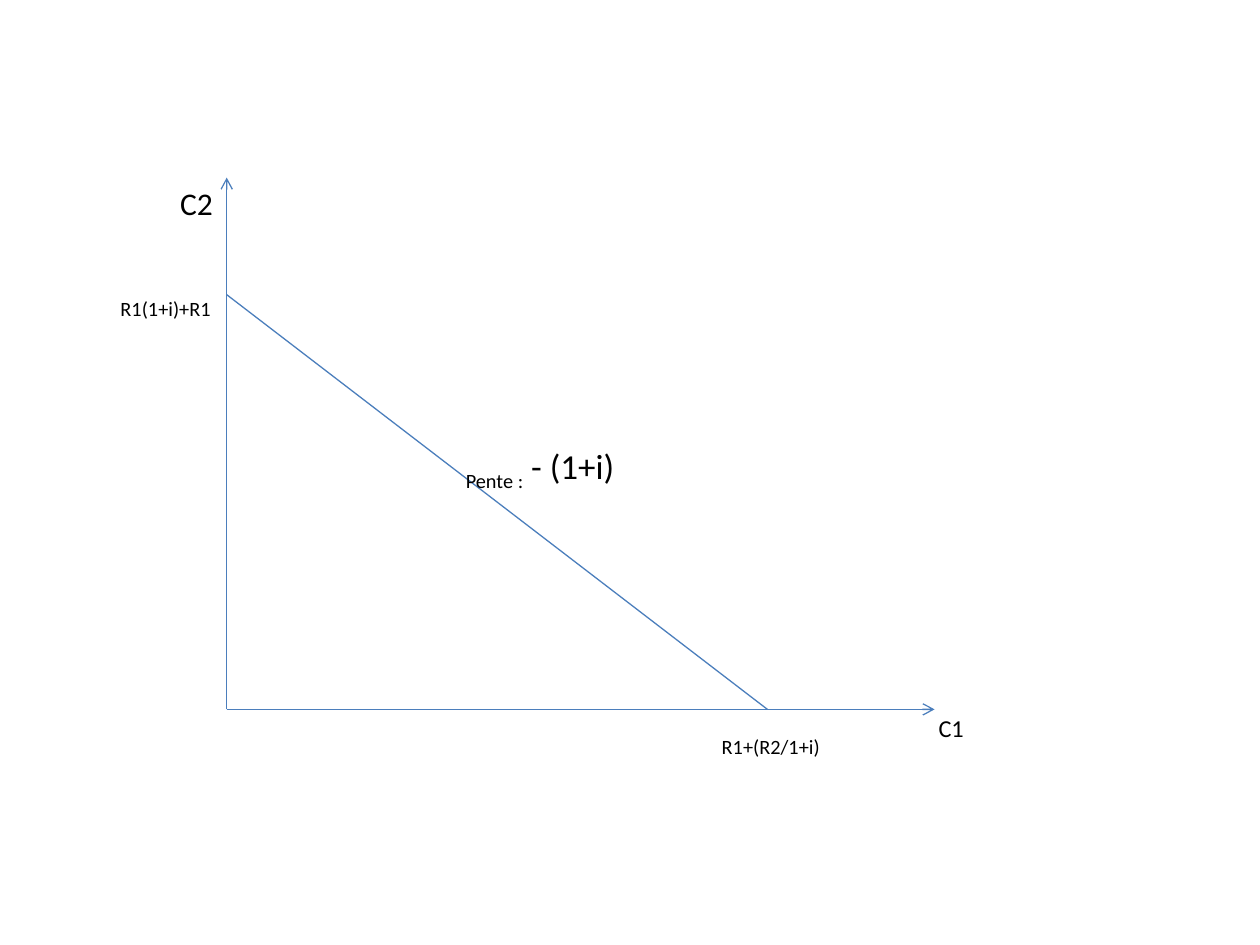
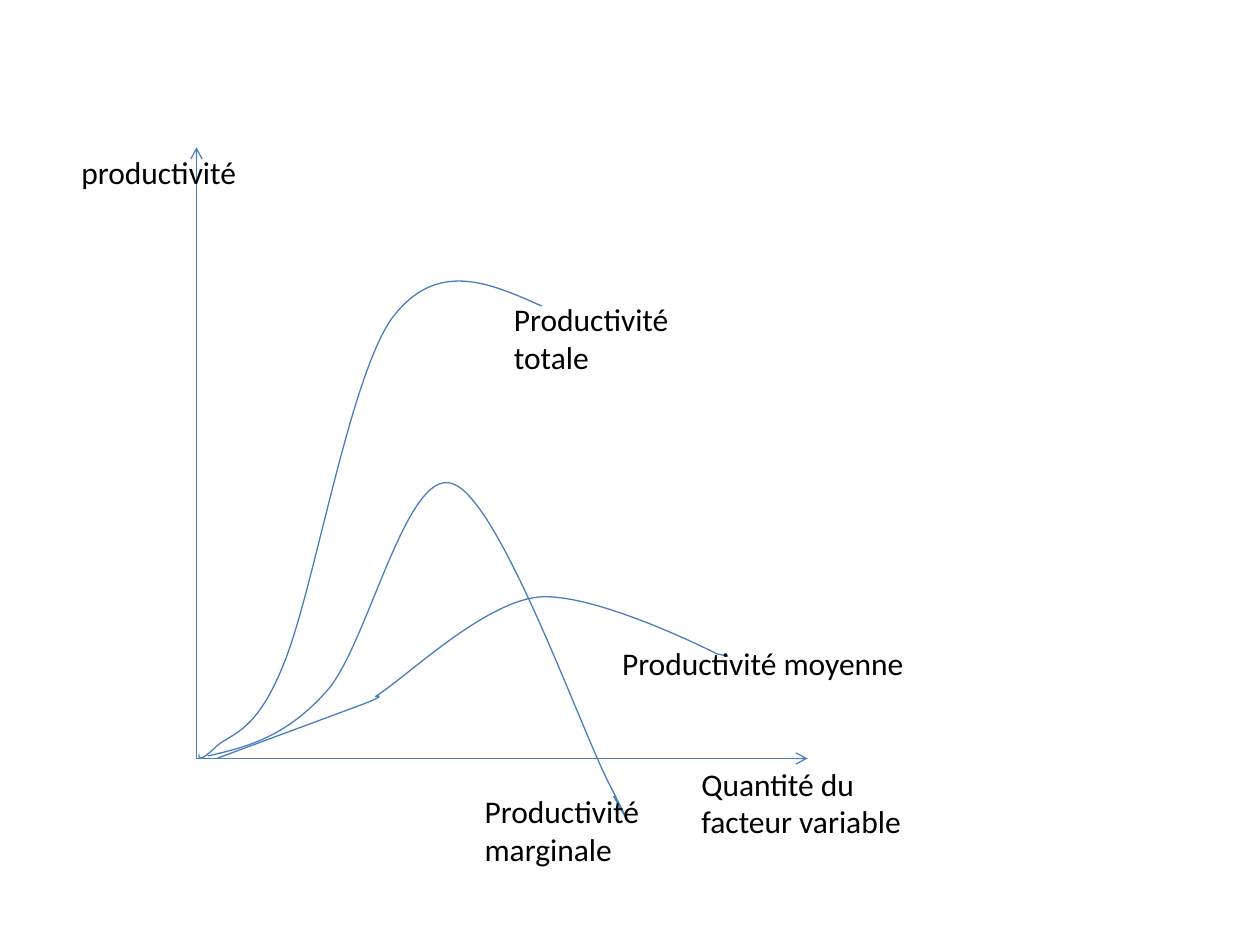
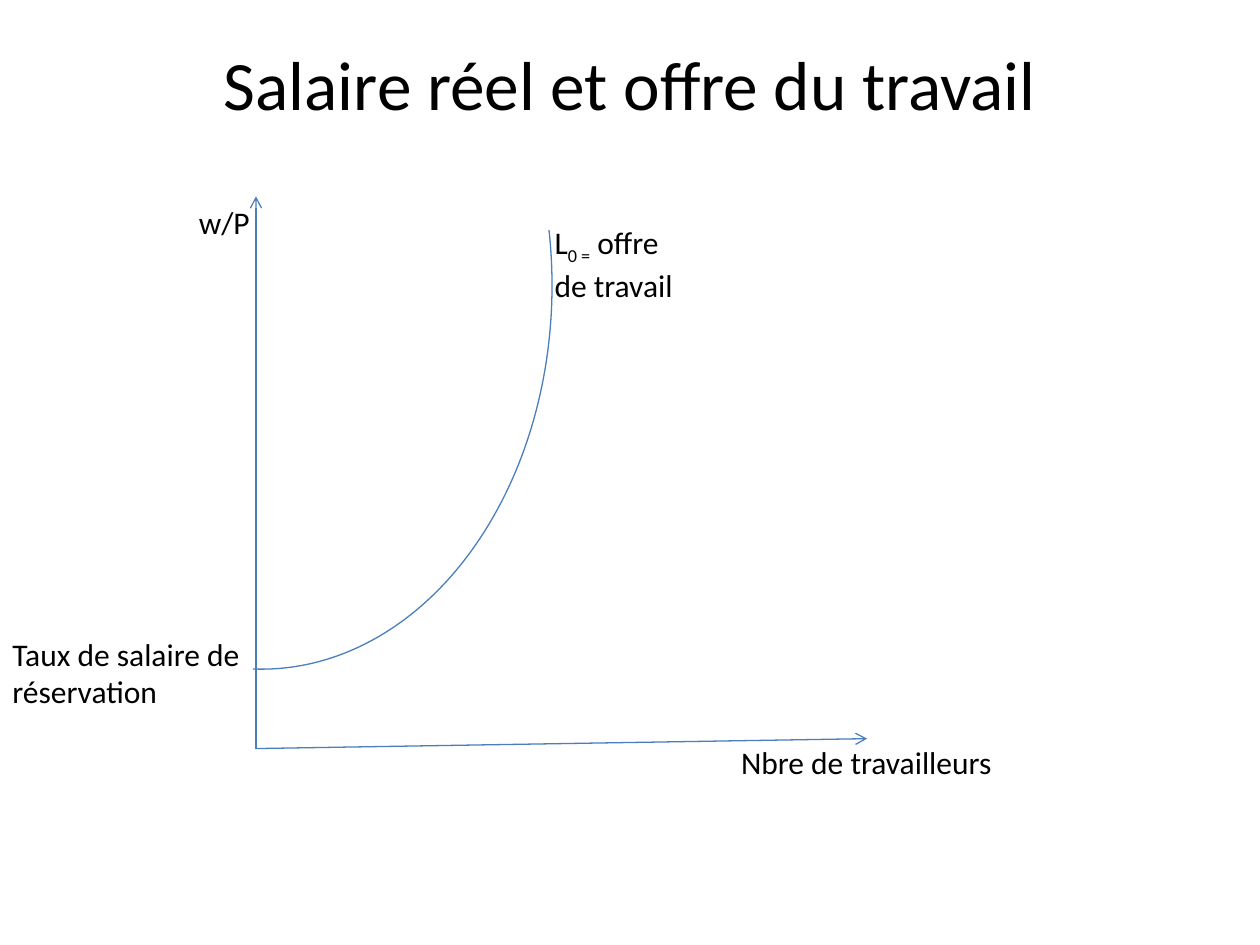
from collections import namedtuple

from lxml.etree import SubElement
from pptx import Presentation
from pptx.dml.color import RGBColor
from pptx.enum.shapes import MSO_CONNECTOR as Connector, MSO_SHAPE as Shape
from pptx.enum.text import MSO_ANCHOR as Anchor, MSO_AUTO_SIZE as AutoSize, PP_ALIGN as Align
from pptx.oxml.ns import qn
from pptx.util import Cm, Pt

COLORS = {"line": "4B7EBC", "text": "000000", "background": "FFFFFF"}
FONT = "Calibri"
LINE_WIDTH = Pt(0.75)
ONE_LINE, TWO_LINES = 1.02, 1.8
LABEL_WIDTH = 4.57
LOWERED = -25
TITLE_ONLY, BLANK = 5, 6

# All lengths are centimetres; parts of a plot are offsets from its box.
Box = namedtuple("Box", "left top width height")

TOTAL_CURVE = [
    (0.05, 12.24),
    (0.05, 12.32), (0.05, 12.4), (0.36, 12.12),
    (0.64, 11.81), (1.17, 11.89), (1.75, 10.44),
    (2.36, 8.99), (3.07, 4.67), (3.94, 3.45),
    (4.83, 2.26), (5.89, 2.72), (6.96, 3.2),
]
MARGINAL_CURVE = [
    (0.23, 12.27),
    (1.02, 12.09), (1.8, 11.89), (2.62, 10.97),
    (3.45, 10.06), (4.22, 6.45), (5.16, 6.78),
    (6.12, 7.09), (7.77, 11.79), (8.33, 12.85),
    (8.86, 13.89), (8.64, 13.49), (8.41, 13.08),
]
AVERAGE_CURVE = [
    (0.41, 12.32),
    (0.41, 12.32), (3.35, 11.23), (3.35, 11.23),
    (3.89, 11.02), (3.61, 11.07), (3.61, 11.07),
    (4.19, 10.72), (5.72, 9.22), (6.86, 9.07),
    (8, 8.94), (10.49, 10.21), (10.49, 10.21),
    (10.49, 10.21), (10.72, 10.26), (10.72, 10.26),
]


def rgb(name):
    return RGBColor.from_string(COLORS[name])


def place(box, x, y):
    return Cm(box.left + x), Cm(box.top + y)


def write(frame, *pieces, size=18, align=Align.LEFT, anchor=Anchor.TOP,
          wrap=True, auto_size=AutoSize.SHAPE_TO_FIT_TEXT):
    """Fill a frame with one paragraph; each piece is (text, baseline percent)."""
    frame.word_wrap = wrap
    frame.auto_size = auto_size
    frame.vertical_anchor = anchor
    para = frame.paragraphs[0]
    para.alignment = align
    for text, baseline in pieces:
        span = para.add_run()
        span.text = text
        span.font.name = FONT
        span.font.size = Pt(size)
        span.font.color.rgb = rgb("text")
        if baseline:
            span.font._element.set("baseline", str(baseline * 1000))


def add_label(page, box, area, *pieces, **text_format):
    left, top, width, height = area
    label = page.shapes.add_textbox(*place(box, left, top), Cm(width), Cm(height))
    write(label.text_frame, *pieces, **text_format)


def style_outline(shape):
    shape.line.color.rgb = rgb("line")
    shape.line.width = LINE_WIDTH


def add_line(page, box, start, end, arrow=False):
    line = page.shapes.add_connector(
        Connector.STRAIGHT, *place(box, *start), *place(box, *end))
    style_outline(line)
    if arrow:
        SubElement(line.get_or_add_ln(), qn("a:tailEnd"), type="arrow")
    SubElement(line._element.spPr, qn("a:effectLst"))


def add_axes(page, box, rise=0):
    """Draw both axes from the lower left corner; rise lifts the far end of x."""
    origin = (0, box.height)
    add_line(page, box, origin, (0, 0), arrow=True)
    add_line(page, box, origin, (box.width, box.height - rise), arrow=True)


def add_curve(page, box, points):
    """Draw cubic curves: a start point, then two handles and an end for each."""
    start, *others = [place(box, *point) for point in points]
    builder = page.shapes.build_freeform(*start)
    builder.add_line_segments(others, close=False)
    curve = builder.convert_to_shape()
    segments = list(curve._element.iter(qn("a:lnTo")))
    outline = segments[0].getparent()
    for index, segment in enumerate(segments):
        if index % 3 == 0:
            bezier = SubElement(outline, qn("a:cubicBezTo"))
        bezier.append(segment[0])
        outline.remove(segment)
    curve.fill.background()
    curve.shadow.inherit = False
    style_outline(curve)


def add_arc(page, box, area, start_angle, end_angle):
    left, top, width, height = area
    arc = page.shapes.add_shape(Shape.ARC, *place(box, left, top), Cm(width), Cm(height))
    # An adjustment unit is 100000, a degree is 60000.
    arc.adjustments[0] = start_angle * 0.6
    arc.adjustments[1] = end_angle * 0.6
    arc.fill.background()
    arc.shadow.inherit = False
    style_outline(arc)


def add_page(deck, layout):
    page = deck.slides.add_slide(deck.slide_layouts[layout])
    page.background.fill.solid()
    page.background.fill.fore_color.rgb = rgb("background")
    return page


def add_title(page, box, text):
    title = page.shapes.title
    title.left, title.top = place(box, 0, 0)
    title.width, title.height = Cm(box.width), Cm(box.height)
    write(title.text_frame, (text, 0), size=39.6, align=Align.CENTER,
          anchor=Anchor.MIDDLE, auto_size=AutoSize.NONE)


def draw_budget_line(page, box):
    add_axes(page, box)
    add_line(page, box, (0, 2.36), (10.9, box.height))
    add_label(page, box, (-1.19, 0, 1.17, ONE_LINE), ("C2", 0), wrap=False)
    for text, area, size in [
        ("R1(1+i)+R1", (-2.39, 1.8, 3.76, 0.84), 20),
        ("R1+(R2/1+i)", (9.73, 10.62, 4.14, 1.4), 20),
        ("C1", (14.1, 10.11, 2.36, 0.94), 24),
    ]:
        add_label(page, box, area, (text, LOWERED), size=size)
    add_label(page, box, (4.57, 5.26, 6.32, 1.12),
              ("Pente :", LOWERED), (" - (1+i)", 0), size=20)


def draw_productivity(page, box):
    add_axes(page, box)
    for points in (TOTAL_CURVE, MARGINAL_CURVE, AVERAGE_CURVE):
        add_curve(page, box, points)
    for text, area in [
        ("productivité", (-2.57, 0, LABEL_WIDTH, ONE_LINE)),
        ("Productivité totale", (6.15, 2.95, LABEL_WIDTH, TWO_LINES)),
        ("Productivité moyenne", (8.33, 9.88, 7.75, ONE_LINE)),
        ("Quantité du facteur variable", (9.93, box.height, LABEL_WIDTH, TWO_LINES)),
        ("Productivité marginale", (5.56, 12.88, LABEL_WIDTH, TWO_LINES)),
    ]:
        add_label(page, box, area, (text, 0))


def draw_labour_supply(page, box):
    add_axes(page, box, rise=0.2)
    add_arc(page, box, (-5.74, -5.94, 11.71, 15.47), start_angle=349.1, end_angle=91.29)
    for text, area in [
        ("w/P", (-1.4, 0, 1.6, ONE_LINE)),
        ("Taux de salaire de réservation", (-box.left, 8.71, box.left, TWO_LINES)),
        ("Nbre de travailleurs", (9.53, 10.9, 6.76, ONE_LINE)),
    ]:
        add_label(page, box, area, (text, 0))
    add_label(page, box, (5.77, 0.41, 3.38, TWO_LINES),
              ("L", 0), ("0 =", LOWERED), (" offre de travail", 0))


def main():
    deck = Presentation()
    deck.slide_width, deck.slide_height = Cm(25.4), Cm(19.05)
    draw_budget_line(add_page(deck, BLANK), Box(4.57, 3.58, 14.27, 10.72))
    draw_productivity(add_page(deck, BLANK), Box(3.96, 2.97, 12.32, 12.32))
    supply_page = add_page(deck, TITLE_ONLY)
    add_title(supply_page, Box(1.27, 0.76, 22.86, 1.83), "Salaire réel et offre du travail")
    draw_labour_supply(supply_page, Box(5.16, 3.96, 12.32, 11.13))
    deck.save("out.pptx")


if __name__ == "__main__":
    main()
